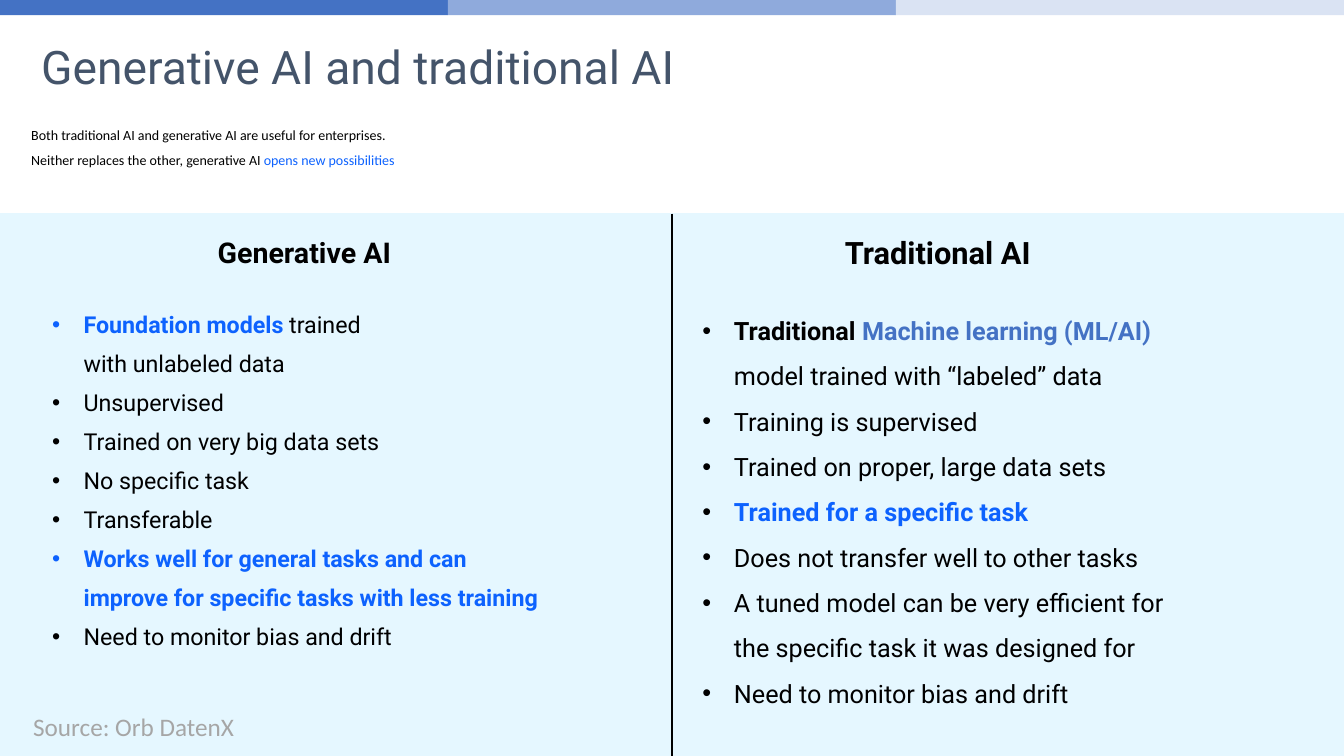
import copy
import pptx
import pptx.util
import pptx.dml.color
import pptx.enum.shapes
import pptx.enum.text
import pptx.oxml
import pptx.oxml.ns

Pt = pptx.util.Pt
WIDE, HIGH = 960, 540
SPLIT = 152.6
INK, BLUE, STEEL = "000000", "0D62FE", "4472C4"

bands = [STEEL, "8FAADC", "DAE3F3"]
title = "Generative AI and traditional AI"
intro = [
    [("Both traditional AI and generative AI are useful for enterprises.", INK)],
    [("Neither replaces the other, generative AI ", INK),
     ("opens new possibilities", BLUE)],
]
source = "Source: Orb DatenX"
lists = [
    dict(head="Generative AI", area=(30.2, 167, 374.4, 337.7), inset=(7.2, 3.6),
         big=20.4, size=16.6, tight=0.9, loose=1.4, dot=None, items=[
             [("Foundation models ", BLUE, True),
              ("trained \nwith unlabeled data", INK, False)],
             [("Unsupervised", INK, False)],
             [("Trained on very big data sets", INK, False)],
             [("No specific task", INK, False)],
             [("Transferable", INK, False)],
             [("Works well for general tasks and can \n"
               "improve for specific tasks with less training", BLUE, True)],
             [("Need to monitor bias and drift", INK, False)],
         ]),
    dict(head="Traditional AI", area=(501.8, 167, 336.2, 337.7), inset=(0, 0),
         big=22, size=18, tight=1.0, loose=1.5, dot=INK, items=[
             [("Traditional ", INK, True),
              ("Machine learning (ML/AI) ", STEEL, True),
              ("model trained with “labeled” data", INK, False)],
             [("Training is supervised", INK, False)],
             [("Trained on proper, large data sets", INK, False)],
             [("Trained for a specific task", BLUE, True)],
             [("Does not transfer well to other tasks", INK, False)],
             [("A tuned model can be very efficient for \n"
               "the specific task it was designed for", INK, False)],
             [("Need to monitor bias and drift", INK, False)],
         ]),
]

deck = pptx.Presentation()
deck.slide_width, deck.slide_height = Pt(WIDE), Pt(HIGH)
slide = deck.slides.add_slide(deck.slide_layouts[6])


def tint(code):
    return pptx.dml.color.RGBColor.from_string(code)


def block(area, fill):
    shape = slide.shapes.add_shape(
        pptx.enum.shapes.MSO_SHAPE.RECTANGLE, *map(Pt, area))
    shape.shadow.inherit = False
    shape.fill.solid()
    shape.fill.fore_color.rgb = tint(fill)
    shape.line.fill.background()
    return shape


def box(area, inset=(7.2, 3.6), wrap=True):
    frame = slide.shapes.add_textbox(*map(Pt, area)).text_frame
    frame.word_wrap = wrap
    frame.margin_left = frame.margin_right = Pt(inset[0])
    frame.margin_top = frame.margin_bottom = Pt(inset[1])
    return frame


def write(para, text, size, face, code, bold=False):
    for row, part in enumerate(text.split("\n")):
        if row:
            para.add_line_break()
            para._p[-1].append(copy.deepcopy(run._r.rPr))
        run = para.add_run()
        run.text = part
        run.font.size = Pt(size)
        run.font.name = face
        run.font.bold = bold
        run.font.color.rgb = tint(code)


def bullet(para, code):
    props = para._p.get_or_add_pPr()
    props.set("marL", str(Pt(22.5)))
    props.set("indent", str(Pt(-22.5)))
    space = pptx.oxml.ns.nsdecls("a")
    if code:
        props.append(pptx.oxml.parse_xml(
            f'<a:buClr {space}><a:srgbClr val="{code}"/></a:buClr>'))
    props.append(pptx.oxml.parse_xml(f'<a:buFont {space} typeface="Arial"/>'))
    props.append(pptx.oxml.parse_xml(f'<a:buChar {space} char="•"/>'))


def column(head, area, inset, big, size, tight, loose, dot, items):
    frame = box(area, inset)
    para = frame.paragraphs[0]
    para.alignment = pptx.enum.text.PP_ALIGN.CENTER
    para.line_spacing = tight
    write(para, head, big, "Roboto", INK, True)
    for rank, item in enumerate(items):
        para = frame.add_paragraph()
        para.line_spacing = loose
        para.space_before = Pt(0 if rank else 21)
        bullet(para, dot)
        for text, code, bold in item:
            write(para, text, size, "Roboto", code, bold)


step = WIDE / len(bands)
for rank, code in enumerate(bands):
    block((rank * step, 0, step, 10.8), code)

panel = block((0, SPLIT, WIDE, HIGH - SPLIT), "E5F7FF")
panel.line.color.rgb = tint("E5F7FF")
panel.line.width = Pt(1.5)

frame = box((22.3, 17.3, 683.3, 59.8))
frame.vertical_anchor = pptx.enum.text.MSO_ANCHOR.MIDDLE
write(frame.paragraphs[0], title, 33, "Roboto", "44546A")

frame = box((22.3, 90, 915.8, 30.2), (0, 0))
for rank, line in enumerate(intro):
    para = frame.add_paragraph() if rank else frame.paragraphs[0]
    para.space_before = Pt(6 if rank else 0)
    for text, code in line:
        write(para, text, 10, "Calibri", code)

rule = slide.shapes.add_connector(
    pptx.enum.shapes.MSO_CONNECTOR.STRAIGHT,
    Pt(WIDE / 2), Pt(SPLIT), Pt(WIDE / 2), Pt(HIGH))
rule.line.color.rgb = tint(INK)
rule.line.width = Pt(1)
rule._element.spPr.append(pptx.oxml.parse_xml(
    f'<a:effectLst {pptx.oxml.ns.nsdecls("a")}/>'))

for entry in lists:
    column(**entry)

frame = box((16.6, 504.7, 174.2, 28.8), wrap=False)
write(frame.paragraphs[0], source, 18, "Calibri", "A6A6A6")

deck.save("out.pptx")
